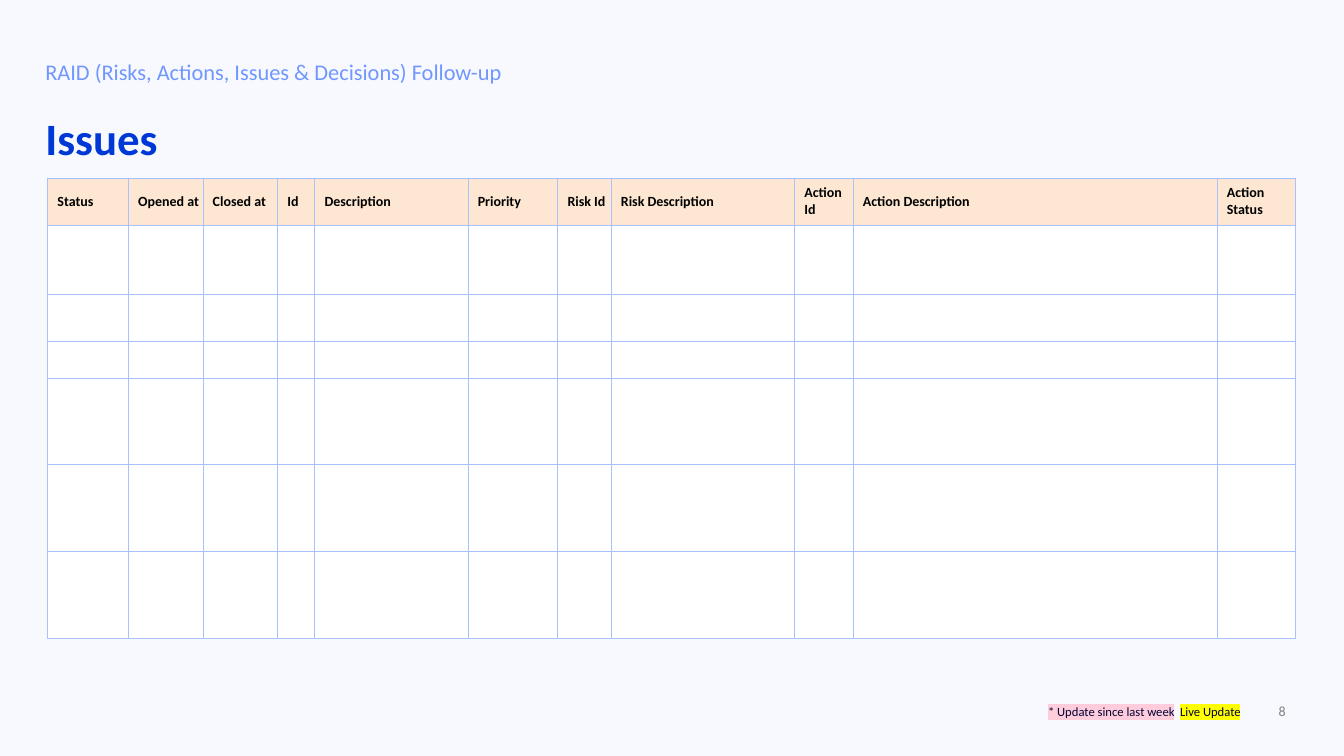
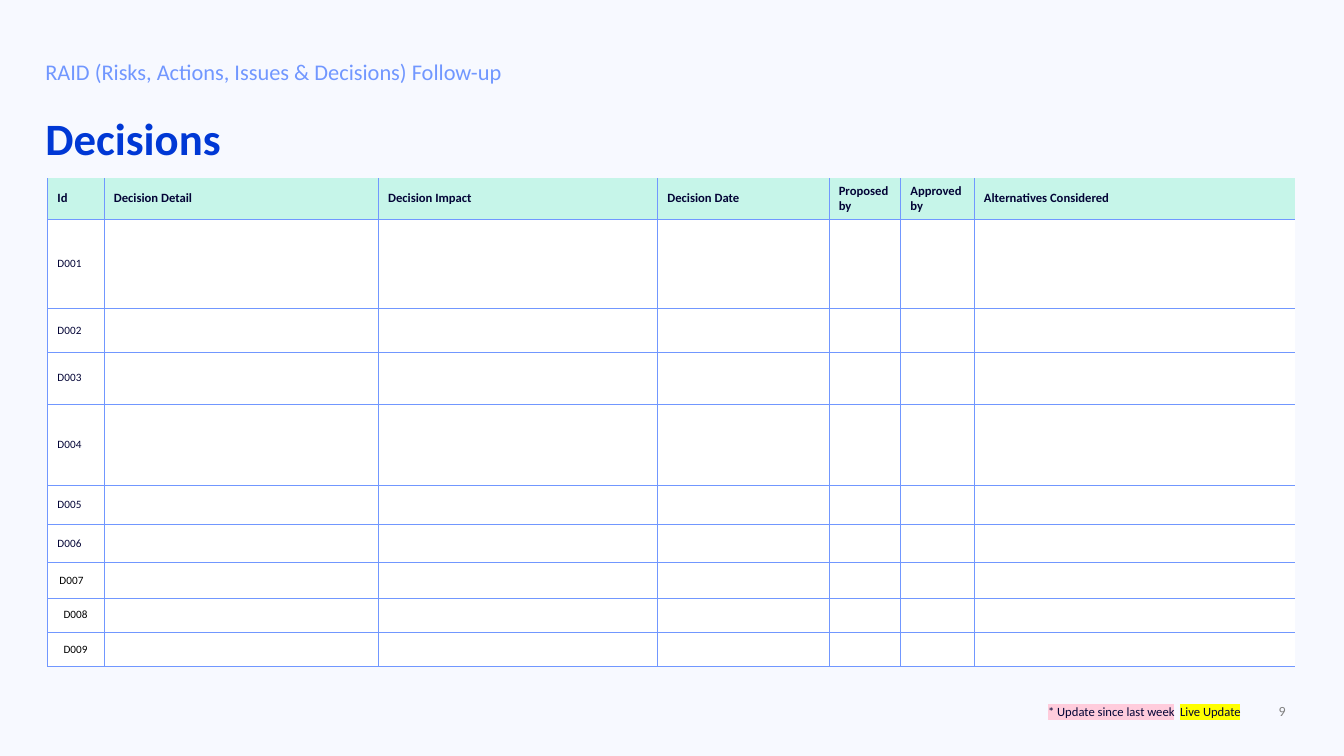
from lxml import etree
from pptx import Presentation
from pptx.dml.color import RGBColor
from pptx.enum.text import MSO_ANCHOR, PP_ALIGN
from pptx.oxml.ns import qn
from pptx.util import Inches, Pt

LEFT, CENTER, RIGHT = PP_ALIGN.LEFT, PP_ALIGN.CENTER, PP_ALIGN.RIGHT
TOP, MIDDLE = MSO_ANCHOR.TOP, MSO_ANCHOR.MIDDLE

FONT = "Calibri"
BACKGROUND, WHITE, BLACK = "F7F9FF", "FFFFFF", "000000"
TITLE_BLUE, SOFT_BLUE, PALE_BLUE = "0038D5", "7197FF", "AAC1FF"
NAVY, GREY = "030436", "808080"
PEACH, MINT, PINK, YELLOW = "FDE7D2", "C6F5E9", "FFCCDC", "FFFF00"

TABLE_LEFT, TABLE_TOP = 0.47, 1.77
CELL_INSETS = (0.1, 0.05, 0.1, 0.05)
HEADING_INSETS = (0, 0.05, 0.1, 0.05)
BORDER_WIDTH = 0.25

SECTION = "RAID (Risks, Actions, Issues & Decisions) Follow-up"
ISSUE_COLUMNS = {
    "Status": 0.8, "Opened at": 0.74, "Closed at": 0.74, "Id": 0.37,
    "Description": 1.52, "Priority": 0.89, "Risk Id": 0.53,
    "Risk Description": 1.82, "Action Id": 0.58,
    "Action Description": 3.61, "Action Status": 0.78,
}
ISSUE_ROWS = [0.46, 0.69, 0.46, 0.37, 0.86, 0.86, 0.86]
DECISION_COLUMNS = {
    "Id": 0.56, "Decision Detail": 2.72, "Decision Impact": 2.77,
    "Decision Date": 1.7, "Proposed by": 0.71, "Approved by": 0.73,
    "Alternatives Considered": 3.19,
}
DECISION_ROWS = [0.38, 0.89, 0.43, 0.52, 0.8, 0.39, 0.38, 0.35, 0.34, 0.34]


def rgb(color):
    """Turn a hex string into a colour."""
    return RGBColor.from_string(color)


def style_paragraph(paragraph, size, color, bold=False, align=LEFT):
    """Set the font and alignment of a paragraph."""
    paragraph.alignment = align
    font = paragraph.font
    font.name, font.size, font.bold = FONT, Pt(size), bold
    font.color.rgb = rgb(color)


def add_text(slide, box, text, size, color, bold=False, align=LEFT,
             anchor=TOP, insets=CELL_INSETS):
    """Add a one-paragraph text box and return its paragraph."""
    frame = slide.shapes.add_textbox(*map(Inches, box)).text_frame
    frame.word_wrap = True
    frame.vertical_anchor = anchor
    (frame.margin_left, frame.margin_top,
     frame.margin_right, frame.margin_bottom) = map(Inches, insets)
    paragraph = frame.paragraphs[0]
    paragraph.text = text
    style_paragraph(paragraph, size, color, bold, align)
    return paragraph


def add_highlight(paragraph, text, color):
    """Add a run of text with a highlight colour."""
    run = paragraph.add_run()
    run.text = text
    properties = run.font._element
    highlight = etree.SubElement(properties, qn("a:highlight"))
    etree.SubElement(highlight, qn("a:srgbClr"), val=color)


def add_legend(slide):
    """Add the key to the highlight colours."""
    paragraph = add_text(slide, (10.02, 6.78, 2.66, 0.55), "", 9, NAVY,
                         align=CENTER, anchor=MIDDLE)
    add_highlight(paragraph, "* Update since last week", PINK)
    gap = paragraph.add_run()
    gap.text = " "
    gap.font._element.set("spc", "200")
    add_highlight(paragraph, "Live Update", YELLOW)


def add_page(presentation, title, number):
    """Add a slide with the shared heading and footer."""
    slide = presentation.slides.add_slide(presentation.slide_layouts[6])
    add_text(slide, (0.45, 1.05, 12.4, 0.65), title, 32, TITLE_BLUE,
             bold=True, insets=HEADING_INSETS)
    section = add_text(slide, (0.45, 0.47, 12.4, 0.43), SECTION, 16,
                       SOFT_BLUE, insets=HEADING_INSETS)
    section.line_spacing = 1.2
    section.space_before, section.space_after = Pt(10), Pt(6)
    add_text(slide, (9.85, 6.92, 3, 0.27), str(number), 10, GREY,
             align=RIGHT, anchor=MIDDLE)
    add_legend(slide)
    return slide


def set_borders(cell, color, open_sides):
    """Draw the cell borders, leaving the open sides blank."""
    properties = cell._tc.get_or_add_tcPr()
    for side in "LRTB":
        line = etree.SubElement(properties, qn(f"a:ln{side}"),
                                w=str(Pt(BORDER_WIDTH)))
        if side in open_sides:
            etree.SubElement(line, qn("a:noFill"))
        else:
            fill = etree.SubElement(line, qn("a:solidFill"))
            etree.SubElement(fill, qn("a:srgbClr"), val=color)


def fill_cell(cell, text, size, color, bold=False, align=LEFT,
              insets=CELL_INSETS):
    """Write styled text in a cell."""
    cell.vertical_anchor = MIDDLE
    (cell.margin_left, cell.margin_top,
     cell.margin_right, cell.margin_bottom) = map(Inches, insets)
    paragraph = cell.text_frame.paragraphs[0]
    paragraph.text = text
    style_paragraph(paragraph, size, color, bold, align)
    if not text:
        etree.SubElement(paragraph._p, qn("a:endParaRPr"), sz=str(size * 100))


def add_grid(slide, columns, heights, border, header_fill, open_edges=False):
    """Add an empty bordered table with a coloured header row."""
    widths = list(columns.values())
    table = slide.shapes.add_table(
        len(heights), len(widths), Inches(TABLE_LEFT), Inches(TABLE_TOP),
        Inches(sum(widths)), Inches(sum(heights))).table
    table.first_row = table.horz_banding = False
    for column, width in zip(table.columns, widths):
        column.width = Inches(width)
    for row_index, (row, height) in enumerate(zip(table.rows, heights)):
        row.height = Inches(height)
        for column_index, cell in enumerate(row.cells):
            open_sides = ""
            if open_edges and row_index == 0:
                open_sides += "T"
            if open_edges and column_index == len(widths) - 1:
                open_sides += "R"
            set_borders(cell, border, open_sides)
            cell.fill.solid()
            cell.fill.fore_color.rgb = rgb(WHITE if row_index else header_fill)
            if row_index:
                fill_cell(cell, "", 8, NAVY)
    return table


def fill_header(table, columns, size, color, insets=CELL_INSETS):
    """Write the column names in the header row."""
    for cell, name in zip(table.rows[0].cells, columns):
        fill_cell(cell, name, size, color, bold=True, insets=insets)


def add_issues(presentation):
    """Add the slide that lists issues."""
    slide = add_page(presentation, "Issues", 8)
    table = add_grid(slide, ISSUE_COLUMNS, ISSUE_ROWS, PALE_BLUE, PEACH)
    fill_header(table, ISSUE_COLUMNS, 10, BLACK, insets=(0.1, 0, 0, 0))


def add_decisions(presentation):
    """Add the slide that lists numbered decisions."""
    slide = add_page(presentation, "Decisions", 9)
    table = add_grid(slide, DECISION_COLUMNS, DECISION_ROWS, SOFT_BLUE, MINT,
                     open_edges=True)
    fill_header(table, DECISION_COLUMNS, 9, NAVY)
    for number in range(1, len(DECISION_ROWS)):
        color, align, insets = NAVY, LEFT, CELL_INSETS
        if number == 7:
            color, insets = BLACK, (0.12, 0, 0, 0)
        elif number > 7:
            color, align, insets = BLACK, CENTER, (0, 0, 0, 0)
        fill_cell(table.cell(number, 0), f"D{number:03}", 8, color,
                  align=align, insets=insets)


def main():
    """Build and save the presentation."""
    presentation = Presentation()
    presentation.slide_width = Inches(13.33)
    presentation.slide_height = Inches(7.5)
    background = presentation.slide_master.background.fill
    background.solid()
    background.fore_color.rgb = rgb(BACKGROUND)
    add_issues(presentation)
    add_decisions(presentation)
    presentation.save("out.pptx")


if __name__ == "__main__":
    main()
